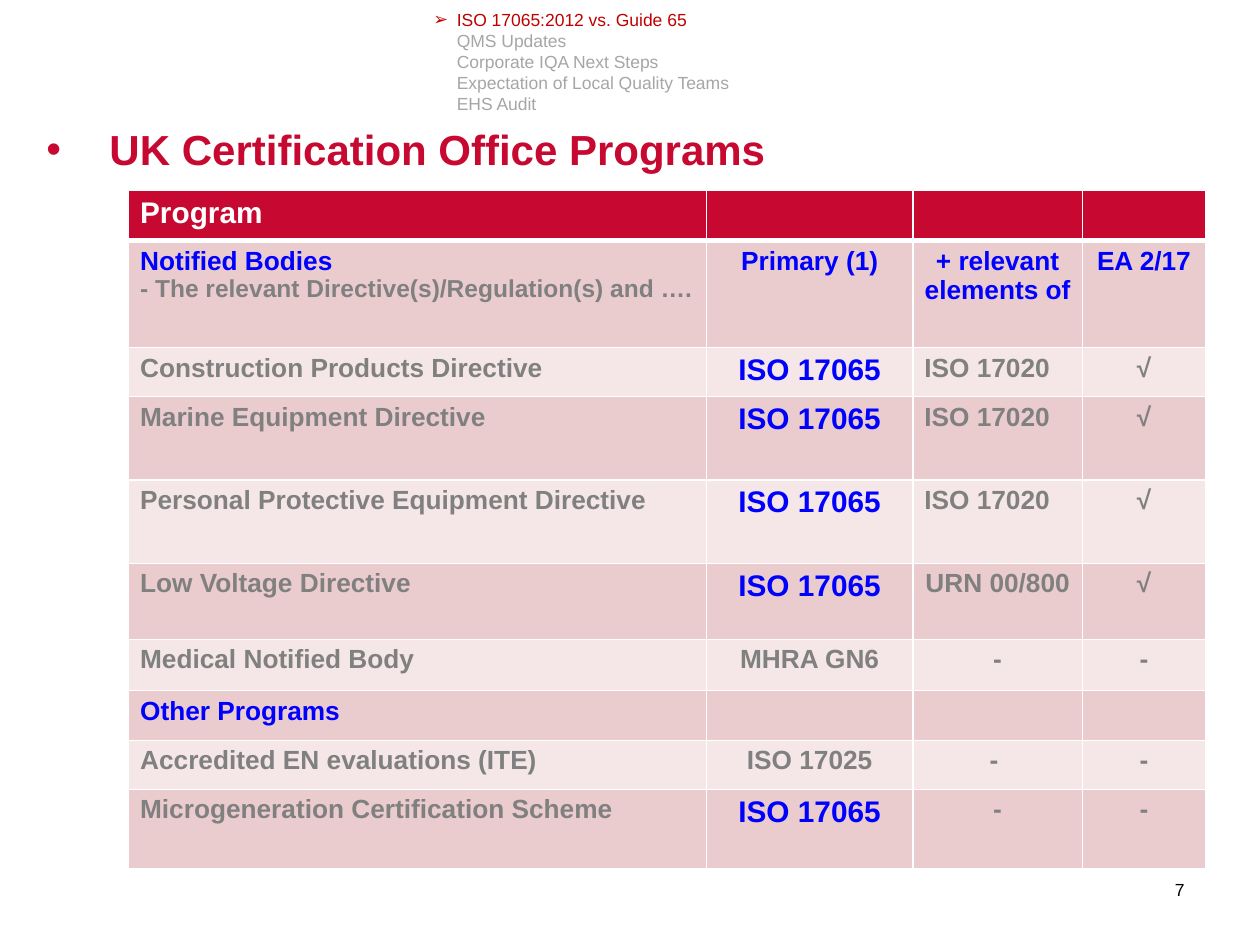
from dataclasses import dataclass

from lxml.etree import SubElement
from pptx import Presentation
from pptx.dml.color import RGBColor
from pptx.enum.text import MSO_ANCHOR, PP_ALIGN
from pptx.oxml.ns import qn
from pptx.util import Pt

# Colours
RED = RGBColor(0xC7, 0x09, 0x32)
DARK = RGBColor(0xC0, 0x00, 0x00)
BLUE = RGBColor(0x00, 0x00, 0xFF)
GREY = RGBColor(0x80, 0x80, 0x80)
PALE = RGBColor(0xA6, 0xA6, 0xA6)
ROSE = RGBColor(0xEB, 0xCC, 0xCE)
BLUSH = RGBColor(0xF5, 0xE7, 0xE8)
WHITE = RGBColor(0xFF, 0xFF, 0xFF)
BLACK = RGBColor(0x00, 0x00, 0x00)

LEFT, MID, RIGHT = PP_ALIGN.LEFT, PP_ALIGN.CENTER, PP_ALIGN.RIGHT


@dataclass
class Line:
    text: str
    size: float = 15
    color: RGBColor = GREY
    bold: bool = True
    align: PP_ALIGN = LEFT
    bullet: str = ""
    indent: float = 0
    pitch: float | None = None


@dataclass
class Row:
    height: float
    cells: list[list[Line]]


def write(frame, lines: list[Line]) -> None:
    """Fill a text frame with one paragraph for each line."""
    for i, line in enumerate(lines):
        para = frame.add_paragraph() if i else frame.paragraphs[0]
        para.alignment = line.align
        if line.pitch:
            para.line_spacing = Pt(line.pitch)
        if line.indent:
            props = para._p.get_or_add_pPr()
            props.set("marL", str(Pt(line.indent)))
            if line.bullet:
                props.set("indent", str(-Pt(line.indent)))
                SubElement(props, qn("a:buFont"), typeface="Arial")
                SubElement(props, qn("a:buChar"), char=line.bullet)
        run = para.add_run()
        run.text = line.text
        style = {"name": "Arial", "size": Pt(line.size), "bold": line.bold}
        for key, value in style.items():
            setattr(run.font, key, value)
        run.font.color.rgb = line.color


def add_text(slide, box: tuple, lines: list[Line], anchor=MSO_ANCHOR.TOP) -> None:
    frame = slide.shapes.add_textbox(*map(Pt, box)).text_frame
    frame.word_wrap = True
    frame.vertical_anchor = anchor
    write(frame, lines)


def edge(cell, sides: dict[str, float]) -> None:
    """Draw white cell borders, which must come before the fill."""
    props = cell._tc.get_or_add_tcPr()
    for side, width in sides.items():
        rule = SubElement(props, qn(f"a:{side}"), w=str(Pt(width)))
        fill = SubElement(rule, qn("a:solidFill"))
        SubElement(fill, qn("a:srgbClr"), val=str(WHITE))


def add_grid(slide, left: float, top: float, cols: list[float], rows: list[Row]) -> None:
    high = sum(row.height for row in rows)
    table = slide.shapes.add_table(
        len(rows), len(cols), Pt(left), Pt(top), Pt(sum(cols)), Pt(high)).table
    for col, width in zip(table.columns, cols):
        col.width = Pt(width)
    pads = {"margin_left": 6.6, "margin_right": 6.6,
            "margin_top": 3.4, "margin_bottom": 3.4}
    for r, row in enumerate(rows):
        table.rows[r].height = Pt(row.height)
        for c in range(len(cols)):
            cell = table.cell(r, c)
            for key, value in pads.items():
                setattr(cell, key, Pt(value))
            edge(cell, {"lnL": 1, "lnR": 1, "lnT": 3 if r == 1 else 1,
                        "lnB": 1 if r else 3})
            cell.fill.solid()
            cell.fill.fore_color.rgb = (ROSE if r % 2 else BLUSH) if r else RED
            if c < len(row.cells):
                write(cell.text_frame, row.cells[c])


def mid(text: str, color: RGBColor = GREY) -> list[Line]:
    return [Line(text, color=color, align=MID)]


def scheme(height: float, name: str, main: list[Line], part: list[Line],
           mark: str) -> Row:
    return Row(height, [[Line(name)], main, part, mid(mark)])


# Table rows
ISO = [Line("ISO 17065", 17, BLUE, align=MID)]
PART = [Line("ISO 17020")]
ROWS = [
    Row(28, [[Line("Program", 17, WHITE)]]),
    Row(61.2, [
        [Line("Notified Bodies", color=BLUE),
         Line("- The relevant Directive(s)/Regulation(s) and ….", 14)],
        mid("Primary (1)", BLUE),
        mid("+ relevant elements of", BLUE),
        mid("EA 2/17", BLUE),
    ]),
    scheme(28, "Construction Products Directive", ISO, PART, "√"),
    scheme(47.7, "Marine Equipment Directive", ISO, PART, "√"),
    scheme(47.7, "Personal Protective Equipment Directive", ISO, PART, "√"),
    scheme(43.4, "Low Voltage Directive", ISO, mid("URN 00/800 "), "√"),
    scheme(29.4, "Medical Notified Body", mid("MHRA GN6"), mid("-"), "-"),
    Row(28, [[Line("Other Programs", color=BLUE)]]),
    scheme(28, "Accredited EN evaluations (ITE)", mid("ISO 17025"), mid("- "), "-"),
    scheme(45.2, "Microgeneration Certification Scheme", ISO, mid("-"), "-"),
]

# Agenda, with the current topic first
TOPICS = ["QMS Updates", "Corporate IQA Next Steps",
          "Expectation of Local Quality Teams", "EHS Audit"]
AGENDA = [Line("ISO 17065:2012 vs. Guide 65", 10, DARK, False,
               bullet="➢", indent=13.5, pitch=12)]
AGENDA += [Line(topic, 10, PALE, False, indent=13.5, pitch=12) for topic in TOPICS]


def main() -> None:
    deck = Presentation()
    deck.slide_width, deck.slide_height = Pt(720), Pt(540)
    slide = deck.slides.add_slide(deck.slide_layouts[6])

    # Title and page number
    add_text(slide, (19.5, 67, 648, 90),
             [Line("UK Certification Office Programs", 24, RED, bullet="•", indent=36)])
    add_text(slide, (633.6, 494, 50.4, 28.8),
             [Line("7", 10, BLACK, False, RIGHT)], MSO_ANCHOR.MIDDLE)

    # Programs table and agenda
    add_grid(slide, 73.5, 109, [330.2, 118, 96.8, 70.5], ROWS)
    add_text(slide, (240.5, 1.4, 193, 90), AGENDA)

    deck.save("out.pptx")


if __name__ == "__main__":
    main()
